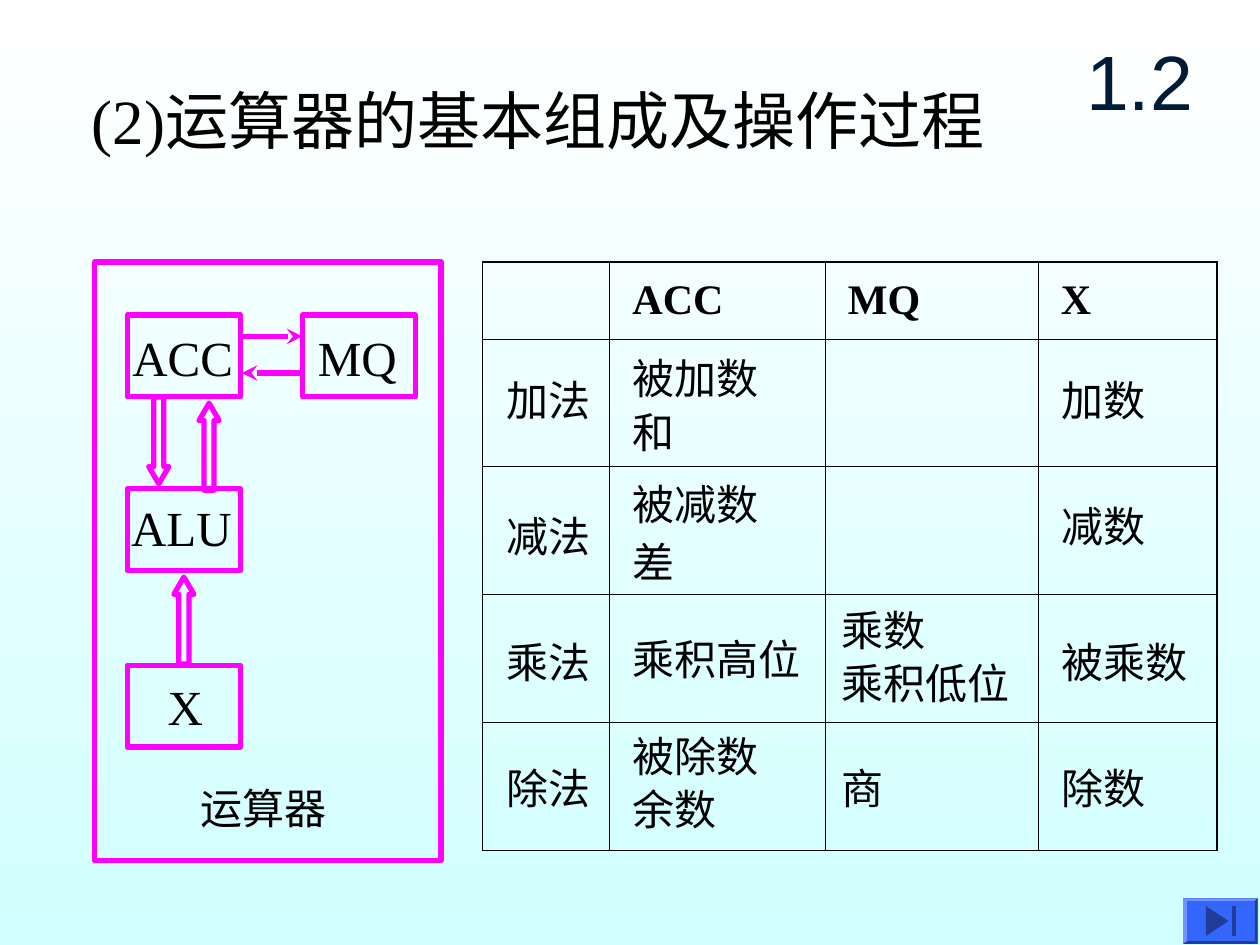
"""Build the slide on how an arithmetic unit is made and works."""
import pptx
import pptx.util
import pptx.dml.color
import pptx.enum.shapes
import pptx.enum.text
import pptx.oxml
import pptx.oxml.ns

Inches, Pt = pptx.util.Inches, pptx.util.Pt
RGBColor = pptx.dml.color.RGBColor
Shape = pptx.enum.shapes.MSO_SHAPE
Anchor = pptx.enum.text.MSO_ANCHOR
Align = pptx.enum.text.PP_ALIGN

BLACK = RGBColor(0x00, 0x00, 0x00)
WHITE = RGBColor(0xFF, 0xFF, 0xFF)
CYAN = RGBColor(0xD2, 0xFF, 0xFF)
NAVY = RGBColor(0x00, 0x1B, 0x36)
PINK = RGBColor(0xFF, 0x00, 0xFF)
BLUE = RGBColor(0x33, 0x66, 0xFF)
LIGHT = RGBColor(0x70, 0x94, 0xFF)
DARK = RGBColor(0x1F, 0x3D, 0x99)
SERIF = "Times New Roman"

deck = pptx.Presentation()
deck.slide_width, deck.slide_height = Inches(10), Inches(7.5)
slide = deck.slides.add_slide(deck.slide_layouts[6])
shapes = slide.shapes

back = slide.background.fill
back.gradient()
back.gradient_angle = 270
for stop, color in zip(back.gradient_stops, (WHITE, CYAN)):
    stop.color.rgb = color


def write(text, left, top, width, height, size=24, name=SERIF, color=BLACK, tight=False):
    box = shapes.add_textbox(Inches(left), Inches(top), Inches(width), Inches(height))
    frame = box.text_frame
    frame.word_wrap = not tight
    if tight:
        frame.margin_left = frame.margin_right = 0
        frame.margin_top = frame.margin_bottom = 0
    para = frame.paragraphs[0]
    para.text = text
    para.font.size, para.font.name = Pt(size), name
    para.font.color.rgb = color
    return frame


def outline(kind, left, top, width, height):
    item = shapes.add_shape(kind, Inches(left), Inches(top), Inches(width), Inches(height))
    item.shadow.inherit = False
    item.fill.background()
    item.line.color.rgb = PINK
    item.line.width = Pt(3)
    return item


# The grid
cols = (1.01, 1.71, 1.69, 1.42)
rows = (0.61,) + (1.015,) * 4
heads = ("", "ACC", "MQ", "X")
grid = shapes.add_table(5, 4, Inches(3.83), Inches(2.08), Inches(5.83), Inches(4.67)).table
grid.first_row = grid.horz_banding = False
for col, width in zip(grid.columns, cols):
    col.width = Inches(width)
for row, height in zip(grid.rows, rows):
    row.height = Inches(height)
for r in range(5):
    for c in range(4):
        cell = grid.cell(r, c)
        edges = {"L": c == 0, "R": c == 3, "T": r == 0, "B": r == 4}
        for side, outer in edges.items():
            cell._tc.get_or_add_tcPr().append(pptx.oxml.parse_xml(
                f'<a:ln{side} {pptx.oxml.ns.nsdecls("a")} w="{Pt(1.08 if outer else 0.45)}">'
                f'<a:solidFill><a:srgbClr val="{BLACK}"/></a:solidFill></a:ln{side}>'))
        cell.fill.background()
        if r == 0 and heads[c]:
            cell.vertical_anchor = Anchor.MIDDLE
            cell.margin_left = Inches(0.18)
            para = cell.text_frame.paragraphs[0]
            para.text = heads[c]
            para.font.size, para.font.name, para.font.bold = Pt(24), SERIF, True
            para.font.color.rgb = BLACK

write("(2)运算器的基本组成及操作过程", 0.63, 0.6, 7.99, 0.7, 36)
mark = write("1.2", 8.42, 0.17, 1.25, 0.92, 44, "Arial", NAVY)
mark.vertical_anchor = Anchor.MIDDLE
mark.paragraphs[0].alignment = Align.CENTER

write("运算器", 1.59, 6.21, 1, 0.4, name="Arial", tight=True)
units = (
    ("MQ", 2.4, 2.5, 2.52, 2.6, 0.63),
    ("ACC", 1.01, 2.5, 1.05, 2.6, 0.8),
    ("ALU", 1.01, 3.88, 1.04, 3.95, 0.8),
    ("X", 1.01, 5.28, 1.33, 5.37, 0.28),
)
for text, left, top, x, y, width in units:
    outline(Shape.RECTANGLE, left, top, 0.9, 0.65)
    label = write(text, x, y, width, 0.47, 28, tight=True)
    label.paragraphs[0].alignment = Align.CENTER
outline(Shape.RECTANGLE, 0.75, 2.08, 2.75, 4.75)

for left, top, turn in ((1.58, 3.2, 0), (1.38, 4.58, 0), (1.18, 3.15, 180)):
    arrow = outline(Shape.UP_ARROW, left, top, 0.16, 0.69)
    arrow.adjustments[0], arrow.adjustments[1] = 0.5, 0.86
    arrow.rotation = turn

for start, end, y in ((2.4, 1.92, 2.96), (1.91, 2.4, 2.67)):
    link = shapes.add_connector(pptx.enum.shapes.MSO_CONNECTOR.STRAIGHT,
                                Inches(start), Inches(y), Inches(end), Inches(y))
    link.line.color.rgb = PINK
    link.line.width = Pt(3)
    tip = pptx.oxml.parse_xml(f'<a:tailEnd {pptx.oxml.ns.nsdecls("a")} type="stealth"/>')
    link.line._get_or_add_ln().append(tip)
    link._element.spPr.append(pptx.oxml.parse_xml(f'<a:effectLst {pptx.oxml.ns.nsdecls("a")}/>'))

terms = {
    3.92: (("加法", 2.92), ("减法", 4), ("乘法", 5), ("除法", 6)),
    4.92: (("被加数", 2.75), ("和", 3.18), ("被减数", 3.75), ("差", 4.21),
           ("乘积高位", 4.98), ("被除数", 5.75), ("余数", 6.17)),
    6.58: (("乘数", 4.75), ("乘积低位", 5.17), ("商", 6)),
    8.33: (("加数", 2.92), ("减数", 3.92), ("被乘数", 5), ("除数", 6)),
}
widths = {3.92: 1.17, 4.92: 2, 6.58: 2.08, 8.33: 1.5}
for left, column in terms.items():
    for text, top in column:
        write(text, left, top, widths[left], 0.5)

# The button, with bevelled edges
outer = ((9.39, 7.13), (9.98, 7.13), (9.98, 7.49), (9.39, 7.49))
inner = ((9.42, 7.15), (9.96, 7.15), (9.96, 7.47), (9.42, 7.47))
parts = [(outer, BLUE)]
for i, color in enumerate((LIGHT, DARK, DARK, LIGHT)):
    j = (i + 1) % 4
    parts.append(((outer[i], outer[j], inner[j], inner[i]), color))
parts.append((((9.75, 7.31), (9.57, 7.43), (9.57, 7.19)), DARK))
parts.append((((9.78, 7.19), (9.78, 7.43), (9.81, 7.43), (9.81, 7.19)), DARK))
for points, color in parts:
    spots = [(Inches(x), Inches(y)) for x, y in points]
    pen = shapes.build_freeform(*spots[0])
    pen.add_line_segments(spots[1:], close=True)
    part = pen.convert_to_shape()
    part.shadow.inherit = False
    part.fill.solid()
    part.fill.fore_color.rgb = color
    part.line.fill.background()

deck.save("out.pptx")
